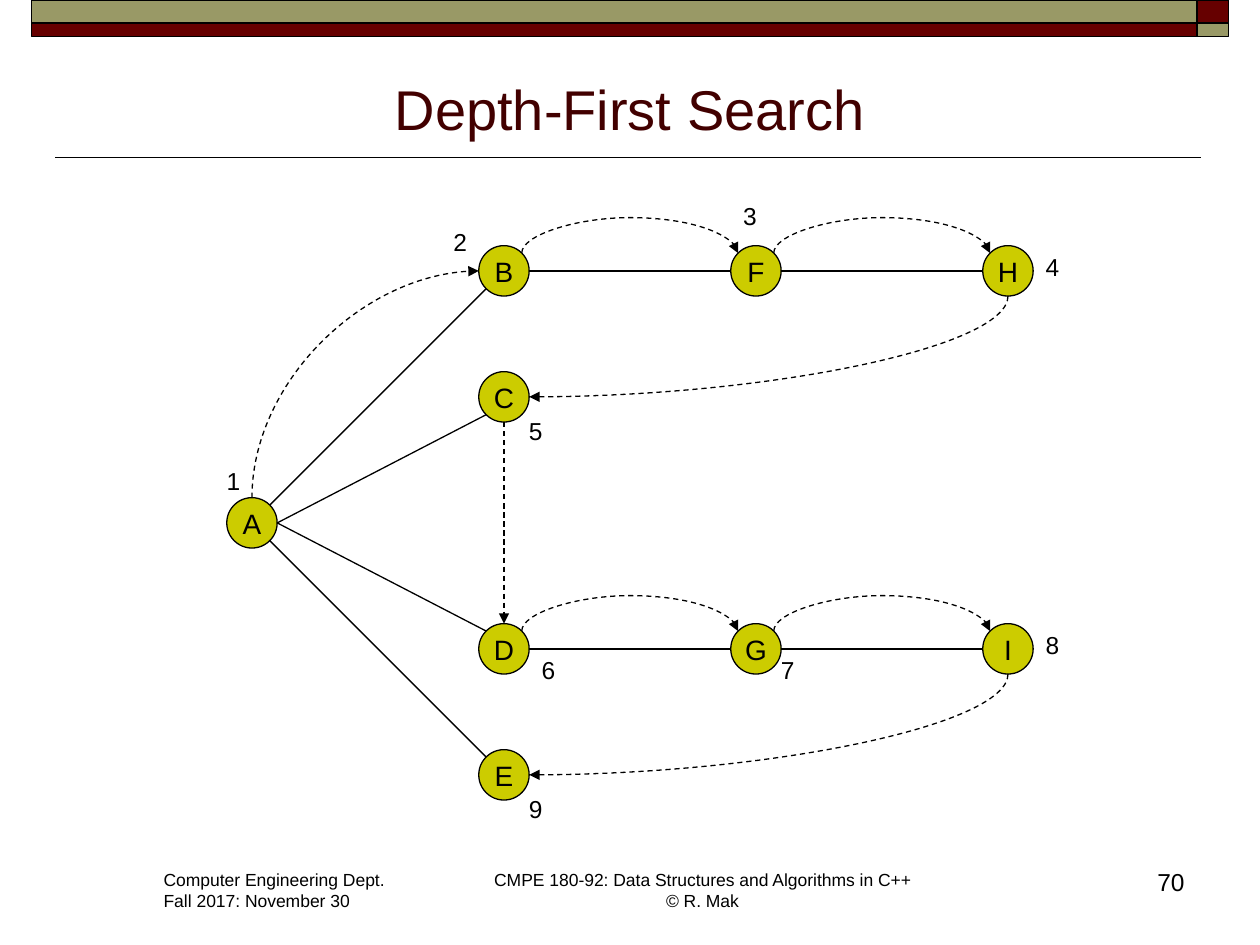
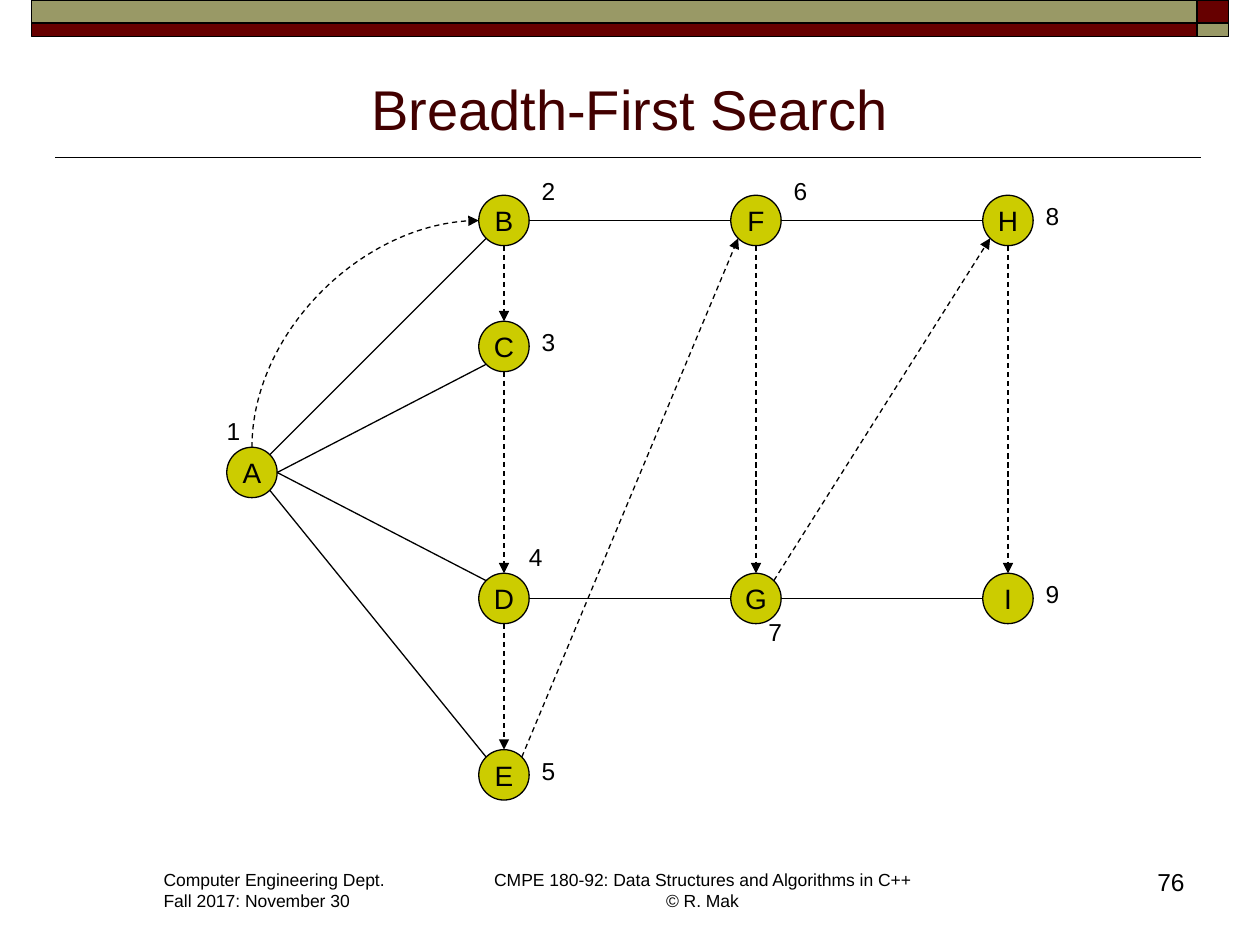
from itertools import pairwise
from math import cos, radians, sin

from lxml.etree import SubElement
from pptx import Presentation
from pptx.dml.color import RGBColor
from pptx.enum.dml import MSO_LINE
from pptx.enum.shapes import MSO_CONNECTOR, MSO_SHAPE
from pptx.enum.text import MSO_ANCHOR, PP_ALIGN
from pptx.oxml.ns import qn
from pptx.util import Emu, Inches, Pt

# Shared look
FONT = "Arial"
BLACK, MAROON, OLIVE, TITLE, NODE = "000000", "660000", "999966", "420000", "CCCC00"
BANDS = [  # left, top, width, height, fill
    (9.5, 0, 0.25, 0.18, MAROON),
    (0.25, 0, 9.25, 0.18, OLIVE),
    (0.25, 0.18, 9.25, 0.11, MAROON),
    (9.5, 0.18, 0.25, 0.11, OLIVE),
]
DEPARTMENT = ["Computer Engineering Dept.", "Fall 2017: November 30"]
COURSE = ["CMPE 180-92: Data Structures and Algorithms in C++\v© R. Mak"]

# Connection sites of a circle, counted counterclockwise from the top
TOP, TOP_LEFT, LEFT, LOW_LEFT, BOTTOM, LOW_RIGHT, RIGHT, TOP_RIGHT = range(8)

# The graph: node -> (column, row), and its edges with their sites
GRID = {"A": (0, 2), "B": (1, 0), "F": (2, 0), "H": (3, 0), "C": (1, 1),
        "D": (1, 3), "G": (2, 3), "I": (3, 3), "E": (1, 4)}
EDGES = [("A", TOP_RIGHT, "B", LOW_LEFT), ("A", RIGHT, "C", LOW_LEFT),
         ("A", RIGHT, "D", TOP_LEFT), ("A", LOW_RIGHT, "E", TOP_LEFT),
         ("B", RIGHT, "F", LEFT), ("F", RIGHT, "H", LEFT),
         ("D", RIGHT, "G", LEFT), ("G", RIGHT, "I", LEFT)]
FIRST_COLUMN, COLUMN_GAP, ROW_GAP, RADIUS = 2, 2, 1, 0.2

# Ways of stepping to the next node: style, site left, site reached
RISE = ("bend", TOP, LEFT)
HOP = ("hop", TOP_RIGHT, TOP_LEFT)
RETURN = ("bend", BOTTOM, RIGHT)
DROP = ("straight", BOTTOM, TOP)
CLIMB = ("straight", TOP_RIGHT, LOW_LEFT)

# Visits in order: node, number's offset from the node's centre, step onward
SEARCHES = [
    {"title": "Depth-First Search", "page": "70", "first_row": 2.15, "rows": {},
     "visits": [("A", (-0.3, -0.5), RISE), ("B", (-0.5, -0.4), HOP),
                ("F", (-0.2, -0.6), HOP), ("H", (0.2, -0.2), RETURN),
                ("C", (0.1, 0.1), DROP), ("D", (0.2, 0), HOP),
                ("G", (0.1, 0), HOP), ("I", (0.2, -0.2), RETURN),
                ("E", (0.1, 0.1), None)]},
    {"title": "Breadth-First Search", "page": "76", "first_row": 1.75,
     "rows": {"E": (1, 4.4)},
     "visits": [("A", (-0.3, -0.5), RISE), ("B", (0.2, -0.4), DROP),
                ("C", (0.2, -0.2), DROP), ("D", (0.1, -0.5), DROP),
                ("E", (0.2, -0.2), CLIMB), ("F", (0.2, -0.4), DROP),
                ("G", (0, 0.1), CLIMB), ("H", (0.2, -0.2), DROP),
                ("I", (0.2, -0.2), None)]},
]


def color(value):
    return RGBColor.from_string(value)


def write(shape, paragraphs, size, ink=BLACK, align=PP_ALIGN.LEFT,
          anchor=MSO_ANCHOR.TOP, wrap=True):
    frame = shape.text_frame
    frame.word_wrap, frame.vertical_anchor = wrap, anchor
    for index, words in enumerate(paragraphs):
        paragraph = frame.add_paragraph() if index else frame.paragraphs[0]
        paragraph.alignment = align
        for number, line in enumerate(words.split("\v")):
            if number:
                paragraph.add_line_break()
            run = paragraph.add_run()
            run.text = line
            run.font.name, run.font.size = FONT, Pt(size)
            run.font.color.rgb = color(ink)
    return frame


def add_text(slide, box, paragraphs, size, **style):
    return write(slide.shapes.add_textbox(*map(Inches, box)), paragraphs, size, **style)


def add_filled(slide, preset, box, fill, line_width):
    shape = slide.shapes.add_shape(preset, *map(Inches, box))
    shape.shadow.inherit = False
    shape.fill.solid()
    shape.fill.fore_color.rgb = color(fill)
    shape.line.color.rgb = color(BLACK)
    shape.line.width = Pt(line_width)
    return shape


def add_line(slide, start, end, width=0.75, kind=MSO_CONNECTOR.STRAIGHT):
    line = slide.shapes.add_connector(kind, *map(Inches, (*start, *end)))
    line.line.color.rgb = color(BLACK)
    line.line.width = Pt(width)
    SubElement(line._element.spPr, qn("a:effectLst"))
    return line


def site_point(centre, site):
    angle = radians(45 * site)
    return centre[0] - RADIUS * sin(angle), centre[1] - RADIUS * cos(angle)


def link(slide, origin, leave, target, reach, style="straight"):
    """Join two (circle, centre) pairs at the given sites."""
    start, end = site_point(origin[1], leave), site_point(target[1], reach)
    kind = MSO_CONNECTOR.STRAIGHT if style == "straight" else MSO_CONNECTOR.CURVE
    line = add_line(slide, start, end, kind=kind)
    ties = line._element.nvCxnSpPr.cNvCxnSpPr
    for tag, (circle, _), site in (("a:stCxn", origin, leave), ("a:endCxn", target, reach)):
        SubElement(ties, qn(tag), id=str(circle.shape_id), idx=str(site))
    if style != "straight":
        turn_curve(line, start, end, style)
    return line


def turn_curve(line, start, end, style):
    """Rotate a curve so that it leaves its node vertically."""
    (x1, y1), (x2, y2) = start, end
    width, height = max(Inches(abs(y2 - y1)), Emu(1588)), Inches(abs(x2 - x1))
    line.left = Inches((x1 + x2) / 2) - width // 2
    line.top = Inches((y1 + y2) / 2) - height // 2
    line.width, line.height = width, height
    frame = line._element.spPr.find(qn("a:xfrm"))
    for flip in ("flipH", "flipV"):
        frame.attrib.pop(flip, None)
    frame.set("rot", str((270 if style == "bend" and y2 < y1 else 90) * 60000))
    geometry = line._element.spPr.find(qn("a:prstGeom"))
    if style == "bend":
        geometry.set("prst", "curvedConnector2")
    else:
        frame.set("flipV", "1")
        guides = geometry.find(qn("a:avLst"))
        if guides is None:
            guides = SubElement(geometry, qn("a:avLst"))
        SubElement(guides, qn("a:gd"), name="adj1", fmla="val -17800000")


def add_step(slide, origin, target, step):
    style, leave, reach = step
    arrow = link(slide, origin, leave, target, reach, style)
    arrow.line.dash_style = MSO_LINE.DASH
    SubElement(arrow.line._get_or_add_ln(), qn("a:tailEnd"), type="triangle")


def add_frame(slide, title, page):
    add_line(slide, (9.53, 1.25), (0.44, 1.25), width=1)
    for *box, fill in BANDS:
        add_filled(slide, MSO_SHAPE.RECTANGLE, box, fill, 1)
    add_text(slide, (1.2, 6.85, 1.98, 0.44), DEPARTMENT, 10, wrap=False)
    add_text(slide, (3.8, 6.85, 3.55, 0.44), COURSE, 10,
             align=PP_ALIGN.CENTER, wrap=False)
    add_text(slide, (7.42, 6.83, 2.08, 0.5), [page], 14, align=PP_ALIGN.RIGHT)
    add_text(slide, (0.5, 0.45, 9, 0.72), [title], 32, ink=TITLE,
             align=PP_ALIGN.CENTER, anchor=MSO_ANCHOR.BOTTOM)


def add_search(slide, search):
    add_frame(slide, search["title"], search["page"])
    # Nodes
    nodes = {}
    for letter, (column, row) in (GRID | search["rows"]).items():
        x = FIRST_COLUMN + column * COLUMN_GAP
        y = search["first_row"] + row * ROW_GAP
        circle = add_filled(slide, MSO_SHAPE.OVAL,
                            (x - RADIUS, y - RADIUS, 2 * RADIUS, 2 * RADIUS), NODE, 0.75)
        write(circle, [letter], 16, align=PP_ALIGN.CENTER,
              anchor=MSO_ANCHOR.MIDDLE, wrap=False)
        nodes[letter] = circle, (x, y)
    # Edges
    for origin, leave, target, reach in EDGES:
        link(slide, nodes[origin], leave, nodes[target], reach)
    # Order of visits
    for (origin, _, step), (target, _, _) in pairwise(search["visits"]):
        add_step(slide, nodes[origin], nodes[target], step)
    for number, (letter, (dx, dy), _) in enumerate(search["visits"], 1):
        x, y = nodes[letter][1]
        label = add_text(slide, (x + dx, y + dy, 0.3, 0.33), [str(number)], 14)
        spacing = SubElement(label.paragraphs[0]._p.get_or_add_pPr(), qn("a:spcBef"))
        SubElement(spacing, qn("a:spcPct"), val="50000")


def main():
    deck = Presentation()
    deck.slide_width, deck.slide_height = Inches(10), Inches(7.5)
    for search in SEARCHES:
        add_search(deck.slides.add_slide(deck.slide_layouts[6]), search)
    deck.save("out.pptx")


if __name__ == "__main__":
    main()
